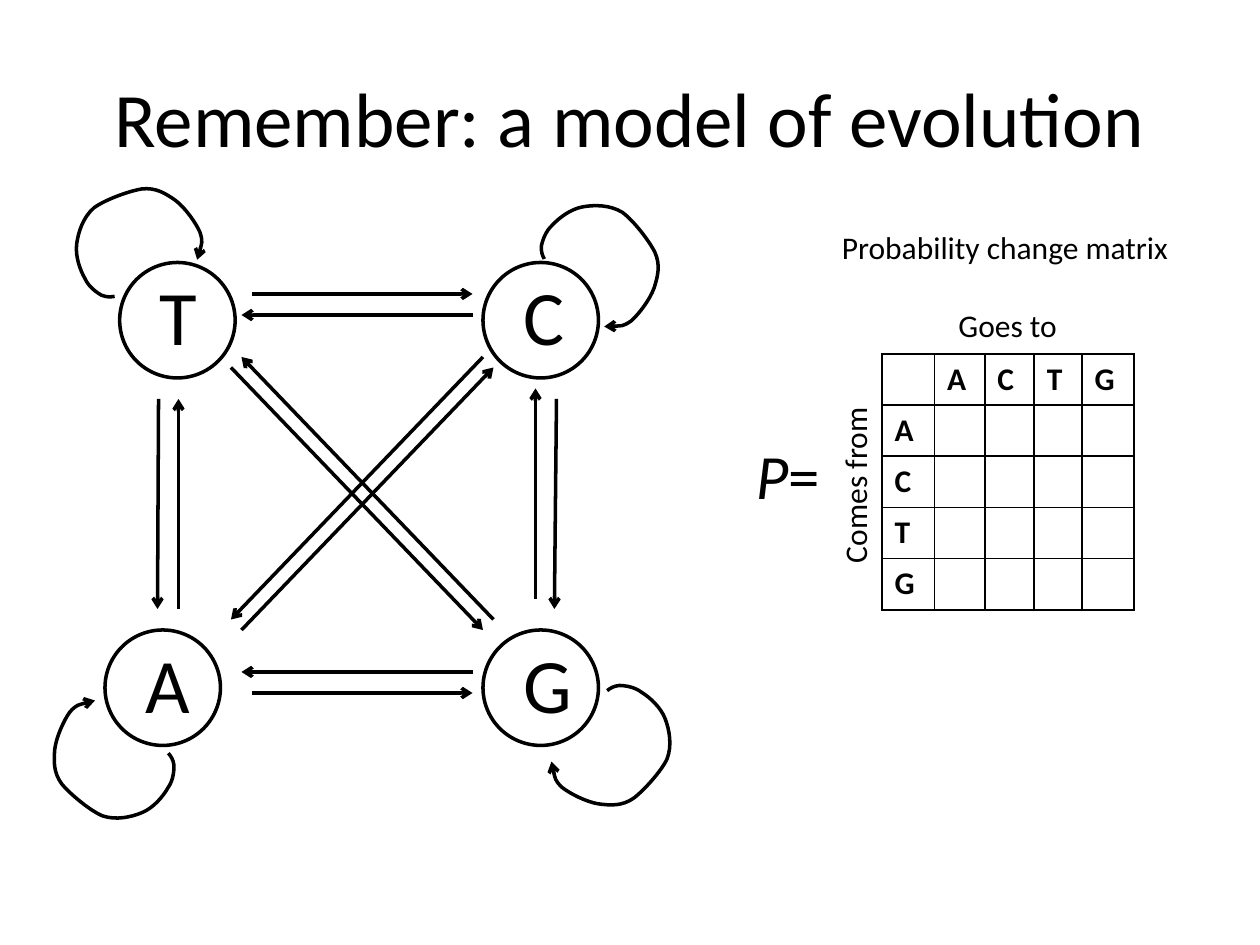
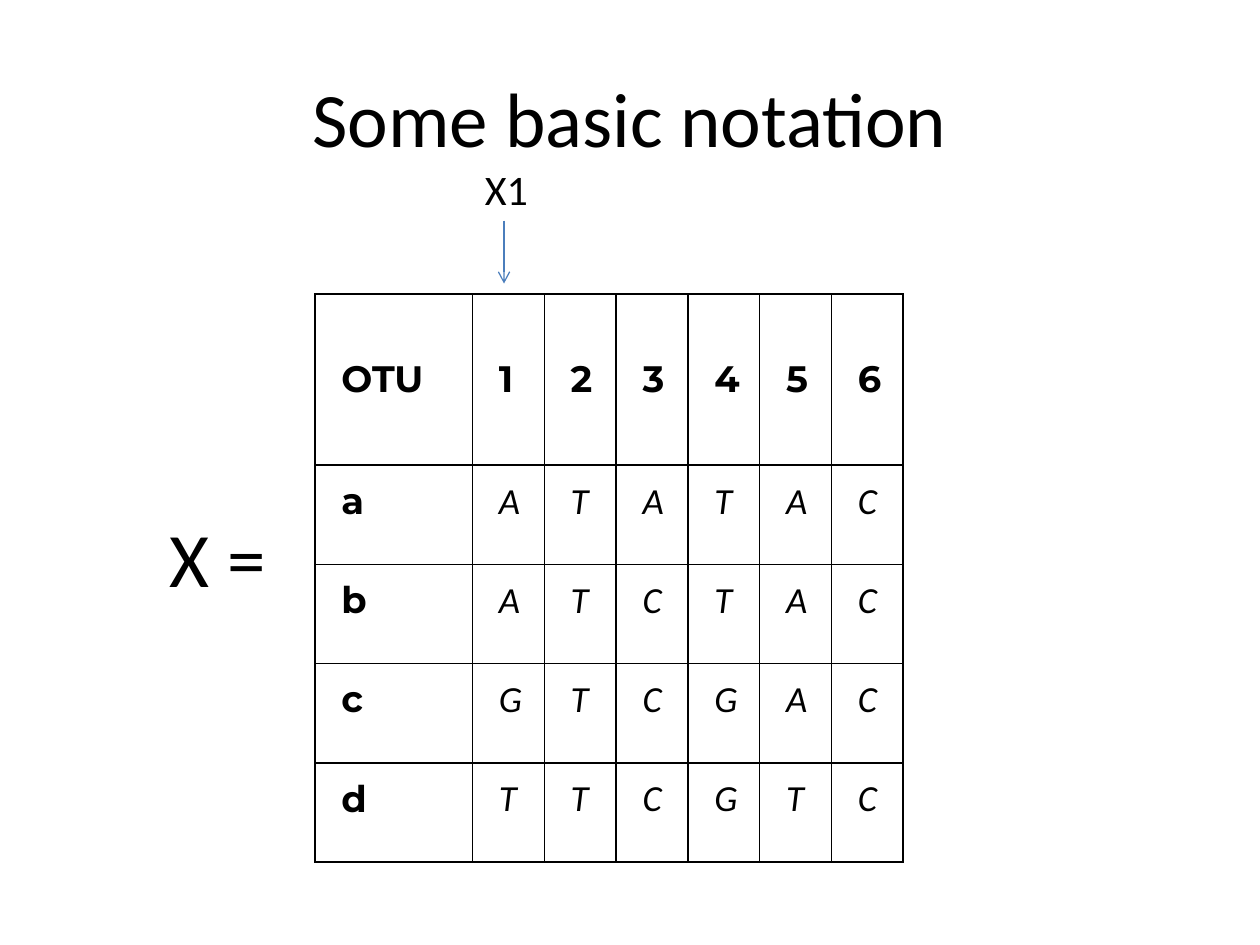
from dataclasses import dataclass

from lxml.etree import SubElement
from pptx import Presentation
from pptx.dml.color import RGBColor
from pptx.enum.shapes import MSO_CONNECTOR, MSO_SHAPE
from pptx.enum.text import MSO_ANCHOR, MSO_AUTO_SIZE, PP_ALIGN
from pptx.oxml.ns import qn
from pptx.util import Inches, Pt

BLACK = RGBColor(0x00, 0x00, 0x00)
BLUE = RGBColor(0x4B, 0x7E, 0xBC)
BODY_FONT = "Calibri"
HEADER_FONT = "Montserrat"
COLUMNS, ROWS = 120, 90
CELL = Inches(10) / COLUMNS

NODES = {
    "T": (7.4, 7, 6),
    "A": (6, 42, 6.72),
    "C": (42, 7, 6.36),
    "G": (42, 42, 7.08),
}
NODE_SIZE = 11
TRANSITIONS = [
    (20, 10, 41, 10), (41, 12, 19, 12),
    (18, 17, 42, 42), (43, 41, 19, 16),
    (11.1, 20, 11, 40), (13, 40, 13, 20),
    (49, 20, 48.8, 40), (47, 39, 47, 19),
    (20, 48, 41, 48), (41, 46, 19, 46),
    (42, 16, 18, 41), (19, 42, 43, 17),
]
SELF_LOOPS = [(8.8, 4.6, 336.1), (53.8, 6.7, 48.4), (6.3, 55, 215.7), (54.9, 53.6, 128.1)]
LOOP_CURVE = [
    (4.6, 4.4),
    (5.2, 3.7), (5.8, 3.1), (5.9, 2.1),
    (5.9, 1.2), (5.6, -0.5), (5, -1.6),
    (4.4, -2.6), (3.8, -3.5), (2.5, -3.9),
    (1.4, -4.2), (-1.1, -4.4), (-2.4, -4.1),
    (-3.7, -3.7), (-4.7, -2.6), (-5.3, -1.6),
    (-5.9, -0.6), (-6, 0.8), (-5.9, 1.7),
    (-5.9, 2.6), (-5.4, 3.4), (-5.1, 3.8),
    (-4.7, 4.2), (-4.4, 4.3), (-4, 4.4),
]
BASES = "ACTG"
SEQUENCES = {"a": "ATATAC", "b": "ATCTAC", "c": "GTCGAC", "d": "TTCGTC"}


def cells(*lengths):
    return [round(length * CELL) for length in lengths]


@dataclass
class Box:
    left: float
    top: float
    width: float
    height: float

    def inner(self, left, top, width, height):
        return Box(self.left + left, self.top + top, width, height)

    def point(self, across, down):
        return cells(self.left + across, self.top + down)

    def frame(self):
        return cells(self.left, self.top, self.width, self.height)


def style_font(font, size, name=BODY_FONT, bold=False, italic=False):
    font.size = Pt(size)
    font.name = name
    font.bold = bold
    font.italic = italic
    font.color.rgb = BLACK


def style_line(line, color=BLACK, width=2, arrow_end=None):
    line.color.rgb = color
    line.width = Pt(width)
    if arrow_end:
        SubElement(line._get_or_add_ln(), qn(f"a:{arrow_end}"), type="arrow")


def add_title_slide(deck, title_text):
    slide = deck.slides.add_slide(deck.slide_layouts[5])
    title = slide.shapes.title
    title.left, title.top, title.width, title.height = Box(6, 3.6, 108, 15).frame()
    title.text_frame.text = title_text
    title.text_frame.vertical_anchor = MSO_ANCHOR.MIDDLE
    para = title.text_frame.paragraphs[0]
    para.alignment = PP_ALIGN.CENTER
    style_font(para.runs[0].font, 44)
    return slide


def add_label(shapes, box, text, size, rotation=0):
    label = shapes.add_textbox(*box.frame())
    label.rotation = rotation
    label.text_frame.word_wrap = False
    label.text_frame.auto_size = MSO_AUTO_SIZE.SHAPE_TO_FIT_TEXT
    label.text_frame.text = text
    style_font(label.text_frame.paragraphs[0].runs[0].font, size)
    return label


def add_arrow(slide, start, end, color=BLACK, width=2):
    arrow = slide.shapes.add_connector(MSO_CONNECTOR.STRAIGHT, *start, *end)
    style_line(arrow.line, color, width, "tailEnd")
    SubElement(arrow._element.spPr, qn("a:effectLst"))


def add_node(slide, box, letter, label_width):
    group = slide.shapes.add_group_shape()
    circle = group.shapes.add_shape(MSO_SHAPE.OVAL, *box.frame())
    circle.shadow.inherit = False
    circle.fill.background()
    style_line(circle.line)
    add_label(group.shapes, box.inner(2.64, 0, label_width, 10.1), letter, 44)


def add_self_loop(slide, center, rotation):
    start, *controls = [cells(*point) for point in LOOP_CURVE]
    builder = slide.shapes.build_freeform(*start)
    builder.add_line_segments(controls, close=False)
    loop = builder.convert_to_shape(*center)
    segments = list(loop._element.iter(qn("a:lnTo")))
    outline = segments[0].getparent()
    for first in range(0, len(segments), 3):
        curve = SubElement(outline, qn("a:cubicBezTo"))
        for segment in segments[first:first + 3]:
            curve.append(segment[0])
            outline.remove(segment)
    loop.rotation = rotation
    loop.shadow.inherit = False
    loop.fill.background()
    style_line(loop.line, arrow_end="headEnd")


def add_bordered_table(slide, box, widths, heights):
    table = slide.shapes.add_table(len(heights), len(widths), *box.frame()).table
    table.first_row = table.horz_banding = False
    for column, width in zip(table.columns, cells(*widths)):
        column.width = width
    for row, height in zip(table.rows, cells(*heights)):
        row.height = height
    for cell in table.iter_cells():
        properties = cell._tc.get_or_add_tcPr()
        for side in ("lnL", "lnR", "lnT", "lnB"):
            border = SubElement(properties, qn(f"a:{side}"), w=str(Pt(1)))
            fill = SubElement(border, qn("a:solidFill"))
            SubElement(fill, qn("a:srgbClr"), val=str(BLACK))
        cell.fill.background()
    return table


def fill_cell(cell, text, size, **style):
    cell.text_frame.text = text
    style_font(cell.text_frame.paragraphs[0].runs[0].font, size, **style)


def draw_base_diagram(slide, box):
    for letter, (left, top, label_width) in NODES.items():
        add_node(slide, box.inner(left, top, NODE_SIZE, NODE_SIZE), letter, label_width)
    for x1, y1, x2, y2 in TRANSITIONS:
        add_arrow(slide, box.point(x1, y1), box.point(x2, y2))
    for across, down, rotation in SELF_LOOPS:
        add_self_loop(slide, box.point(across, down), rotation)


def draw_probability_matrix(slide, box):
    table = add_bordered_table(
        slide, box.inner(13.2, 12.6, 24, 24.4), [5, 4.8, 4.7, 4.55, 4.95], [4.88] * 5
    )
    for index, base in enumerate(BASES, start=1):
        fill_cell(table.cell(0, index), base, 18, bold=True)
        fill_cell(table.cell(index, 0), base, 18, bold=True)
    symbol = add_label(slide.shapes, box.inner(0, 19.9, 8.6, 8.5), "P", 36)
    symbol.text_frame.paragraphs[0].runs[0].font.italic = True
    equals = symbol.text_frame.paragraphs[0].add_run()
    equals.text = "="
    style_font(equals.font, 36)
    add_label(slide.shapes, box.inner(19.3, 7.5, 11.9, 4.8), "Goes to", 18)
    add_label(slide.shapes, box.inner(1.9, 22.6, 17.4, 4.8), "Comes from", 18, rotation=270)
    add_label(slide.shapes, box.inner(8.2, 0, 33.8, 4.8), "Probability change matrix", 18)


def draw_alignment_matrix(slide, box):
    sites = range(1, 7)
    table = add_bordered_table(
        slide, box.inner(15, 13, 56, 54.1), [15] + [6.84] * len(sites), [16.3] + [9.45] * 4
    )
    for cell in table.iter_cells():
        cell.margin_left = cell.margin_right = Inches(0.21)
        cell.margin_top = cell.margin_bottom = Inches(0.11)
    for column, heading in enumerate(["OTU", *map(str, sites)]):
        cell = table.cell(0, column)
        cell.vertical_anchor = MSO_ANCHOR.MIDDLE
        fill_cell(cell, heading, 21, name=HEADER_FONT, bold=True)
    for row, (unit, sequence) in enumerate(SEQUENCES.items(), start=1):
        fill_cell(table.cell(row, 0), unit, 21, name=HEADER_FONT, bold=True)
        for column, base in enumerate(sequence, start=1):
            fill_cell(table.cell(row, column), base, 21, italic=True)
    add_arrow(slide, box.point(33, 6), box.point(33, 12), BLUE, 0.75)
    add_label(slide.shapes, box.inner(30, 0, 6.6, 6), "X1", 24)
    add_label(slide.shapes, box.inner(0, 33, 13.3, 10.1), "X =", 44)


def main():
    deck = Presentation()
    deck.slide_width, deck.slide_height = cells(COLUMNS, ROWS)
    model = add_title_slide(deck, "Remember: a model of evolution")
    draw_base_diagram(model, Box(4, 18, 61, 61))
    draw_probability_matrix(model, Box(70.8, 21.1, 42, 37))
    notation = add_title_slide(deck, "Some basic notation")
    draw_alignment_matrix(notation, Box(15, 15, 71, 67))
    deck.save("out.pptx")


if __name__ == "__main__":
    main()
